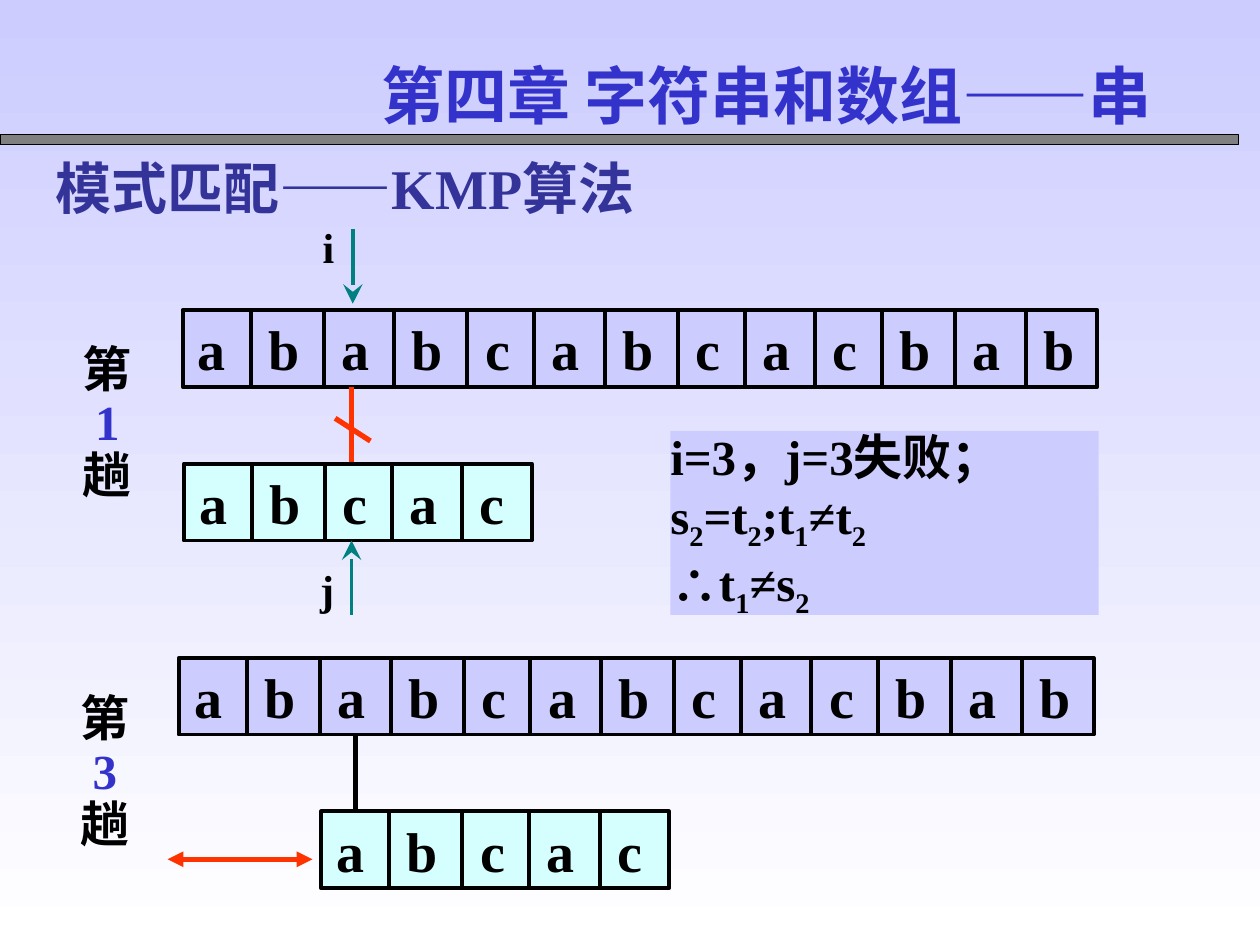
from itertools import accumulate

from lxml import etree
from pptx import Presentation
from pptx.dml.color import RGBColor
from pptx.enum.shapes import MSO_CONNECTOR, MSO_SHAPE
from pptx.enum.text import MSO_ANCHOR, PP_ALIGN
from pptx.oxml import parse_xml
from pptx.oxml.ns import nsdecls, qn
from pptx.util import Inches, Pt

STRAIGHT = MSO_CONNECTOR.STRAIGHT
RECTANGLE = MSO_SHAPE.RECTANGLE
LEFT = PP_ALIGN.LEFT
TOP, MIDDLE = MSO_ANCHOR.TOP, MSO_ANCHOR.MIDDLE

FONT = "Times New Roman"
BLACK, BLUE, NAVY = "000000", "3333CC", "333399"
LAVENDER, CYAN, TEAL, RED = "CCCCFF", "D5FFFF", "008080", "FF3300"

TARGET, PATTERN = "ababcabcacbab", "abcac"
LETTER_STEP = {"a": 0.56, "b": 0.58, "c": 0.53}
ROW_HEIGHT = 0.61


def color(hex_value):
    return RGBColor.from_string(hex_value)


def set_background(slide):
    fill = slide.background.fill
    fill.gradient()
    fill.gradient_angle = 270
    for stop, hex_value in zip(fill.gradient_stops, (LAVENDER, "FFFFFF")):
        stop.color.rgb = color(hex_value)


def write_text(shape, paragraphs, size, hex_value=BLACK, insets=(0.1, 0.05, 0.1, 0.05),
               anchor=TOP, line_spacing=None, tabs=()):
    """Fill a shape; each paragraph is a list of (text, overrides) runs."""
    frame = shape.text_frame
    frame.word_wrap = True
    frame.vertical_anchor = anchor
    (frame.margin_left, frame.margin_top,
     frame.margin_right, frame.margin_bottom) = map(Inches, insets)
    for index, runs in enumerate(paragraphs):
        paragraph = frame.add_paragraph() if index else frame.paragraphs[0]
        paragraph.alignment = LEFT
        if line_spacing:
            paragraph.line_spacing = line_spacing
        if tabs:
            tab_list = etree.SubElement(paragraph._p.get_or_add_pPr(), qn("a:tabLst"))
            for position in tabs:
                etree.SubElement(tab_list, qn("a:tab"), pos=str(Inches(position)), algn="l")
        for text, overrides in runs:
            run = paragraph.add_run()
            run.text = text
            run.font.name = FONT
            run.font.size = Pt(size)
            run.font.bold = True
            run.font.color.rgb = color(overrides.get("hex_value", hex_value))
            if overrides.get("subscript"):
                run.font._element.set("baseline", "-25000")


def add_text(slide, box, paragraphs, size, **text_format):
    shape = slide.shapes.add_textbox(*map(Inches, box))
    write_text(shape, paragraphs, size, **text_format)
    return shape


def add_box(shapes, box, fill, line_width=None):
    shape = shapes.add_shape(RECTANGLE, *map(Inches, box))
    shape.shadow.inherit = False
    shape.fill.solid()
    shape.fill.fore_color.rgb = color(fill)
    if line_width:
        shape.line.color.rgb = color(BLACK)
        shape.line.width = Pt(line_width)
    else:
        shape.line.fill.background()
    return shape


def add_line(shapes, start, end, hex_value=BLACK, width=2.25, head=None, tail=None, size="med"):
    connector = shapes.add_connector(STRAIGHT, *map(Inches, start + end))
    connector.line.color.rgb = color(hex_value)
    connector.line.width = Pt(width)
    line = connector.line._get_or_add_ln()
    for tag, arrow in (("a:headEnd", head), ("a:tailEnd", tail)):
        if arrow:
            etree.SubElement(line, qn(tag), type=arrow, w=size, len=size)
    etree.SubElement(connector._element.spPr, qn("a:effectLst"))


def add_letter_row(slide, left, top, width, letters, fill):
    """Draw a string as one box, with a divider before every later letter."""
    shapes = slide.shapes.add_group_shape().shapes
    box = add_box(shapes, (left, top, width, ROW_HEIGHT), fill, 2.25)
    offsets = list(accumulate(LETTER_STEP[letter] for letter in letters[:-1]))
    write_text(box, [[("\t".join(letters), {})]], 32, insets=(0.12, 0, 0.02, 0),
               anchor=MIDDLE, tabs=offsets)
    for offset in offsets:
        x = left + offset - 0.02
        add_line(shapes, (x, top), (x, top + ROW_HEIGHT))


def add_pass_label(slide, left, top, number):
    paragraphs = [[("第", {})], [(f" {number}", {"hex_value": BLUE})], [("趟", {})]]
    add_text(slide, (left, top, 0.71, 1.36), paragraphs, 28, line_spacing=0.9)


def add_text_shadow(shape):
    for run in shape.text_frame.paragraphs[0].runs:
        run.font._element.find(qn("a:solidFill")).addnext(parse_xml(
            f'<a:effectLst {nsdecls("a")}><a:outerShdw dist="25400" dir="2700000">'
            '<a:srgbClr val="808080"/></a:outerShdw></a:effectLst>'))


def with_subscripts(text):
    """Split text into runs; a part after each underscore starts with a subscript digit."""
    first, *rest = text.split("_")
    runs = [(first, {})]
    for part in rest:
        runs.append((part[0], {"subscript": True}))
        if part[1:]:
            runs.append((part[1:], {}))
    return runs


def add_mismatch_mark(slide):
    shapes = slide.shapes.add_group_shape().shapes
    add_line(shapes, (2.79, 3.07), (2.79, 3.69), RED, 3)
    add_line(shapes, (2.66, 3.32), (2.94, 3.5), RED, 3)


def add_index_pointer(slide, name, label_place, start, end):
    add_line(slide.shapes, start, end, TEAL, tail="stealth", size="lg")
    add_text(slide, (*label_place, 0.25, 0.5), [[(name, {})]], 24, insets=(0, 0.05, 0, 0.05))


def main():
    presentation = Presentation()
    presentation.slide_width, presentation.slide_height = Inches(10), Inches(7.5)
    slide = presentation.slides.add_slide(presentation.slide_layouts[6])
    set_background(slide)

    add_box(slide.shapes, (0, 1.07, 9.83, 0.08), "808080", 0.75)
    title = add_text(slide, (2.93, 0.4, 7.07, 0.7),
                     [[("第四章 字符串和数组——串", {})]], 36, hex_value=BLUE)
    add_text_shadow(title)
    add_text(slide, (0.34, 1.17, 8.17, 0.64),
             [[("模式匹配——KMP算法", {})]], 32, hex_value=NAVY)

    conclusion = add_box(slide.shapes, (5.32, 3.42, 3.4, 1.46), LAVENDER)
    lines = ("i=3，j=3失败； s_2=t_2;t_1≠t_2", "∴t_1≠s_2")
    write_text(conclusion, [with_subscripts(line) for line in lines], 28,
               insets=(0, 0, 0, 0), anchor=MIDDLE)

    add_pass_label(slide, 0.56, 2.69, 1)
    add_letter_row(slide, 1.45, 2.46, 7.26, TARGET, LAVENDER)
    add_mismatch_mark(slide)
    add_letter_row(slide, 1.46, 3.68, 2.76, PATTERN, CYAN)
    add_index_pointer(slide, "i", (2.56, 1.71), (2.8, 1.82), (2.8, 2.41))
    add_index_pointer(slide, "j", (2.54, 4.42), (2.79, 4.88), (2.79, 4.29))

    add_pass_label(slide, 0.54, 5.46, 3)
    add_letter_row(slide, 1.42, 5.22, 7.26, TARGET, LAVENDER)
    add_letter_row(slide, 2.55, 6.44, 2.76, PATTERN, CYAN)
    add_line(slide.shapes, (2.82, 5.84), (2.82, 6.45), width=3)
    add_line(slide.shapes, (1.33, 6.82), (2.48, 6.82), RED, 3, head="triangle", tail="triangle")

    presentation.save("out.pptx")


if __name__ == "__main__":
    main()
